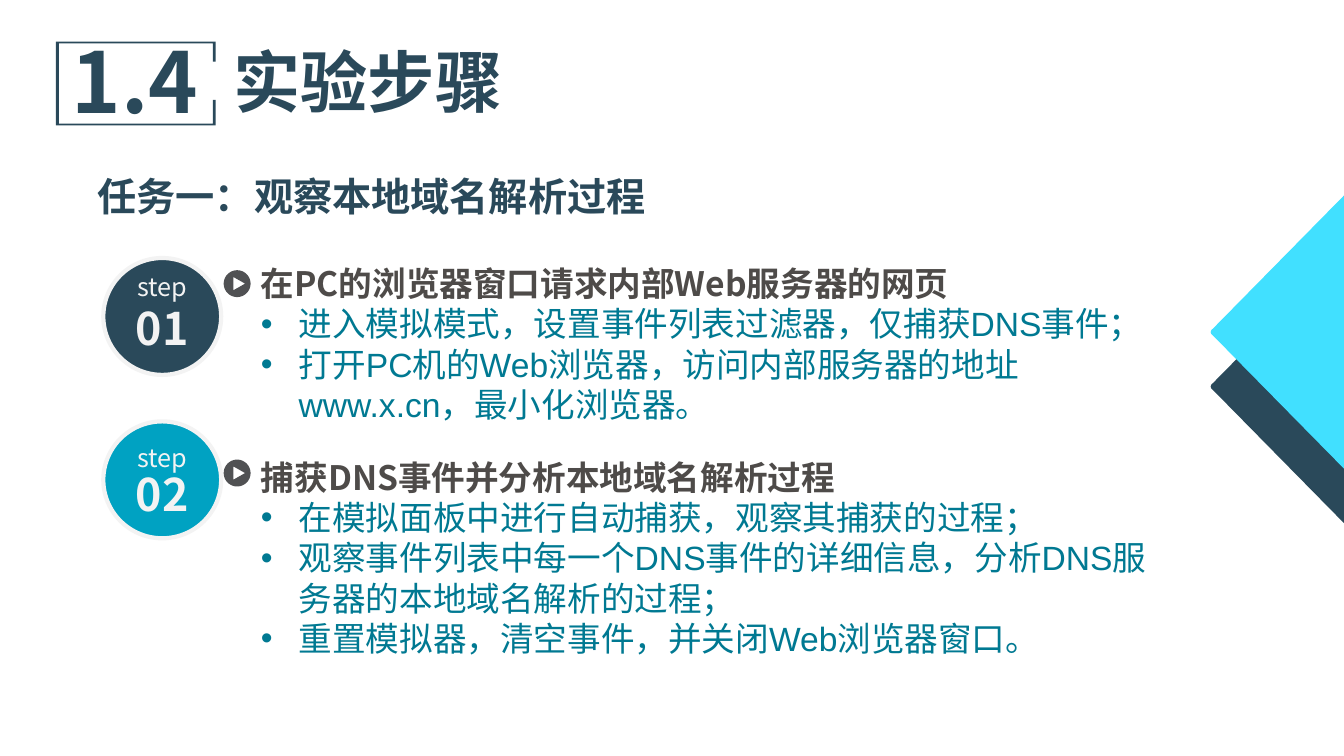
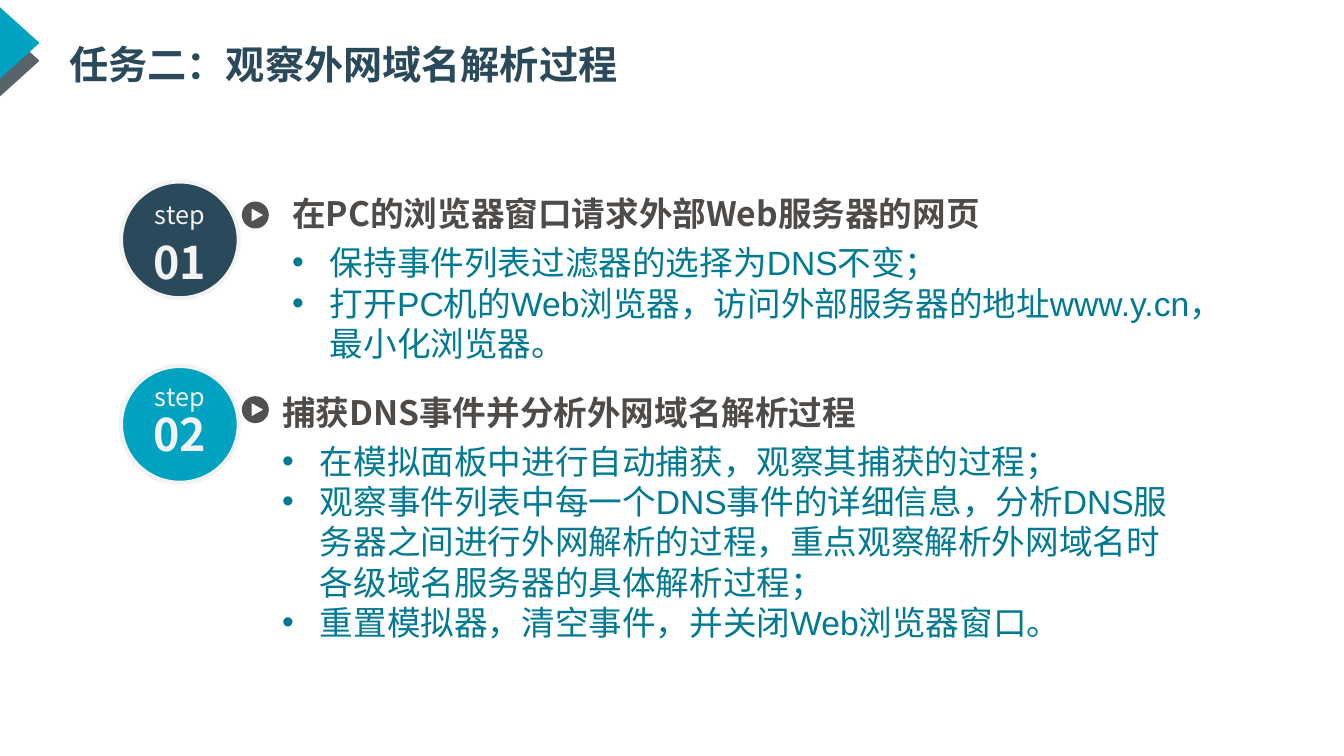
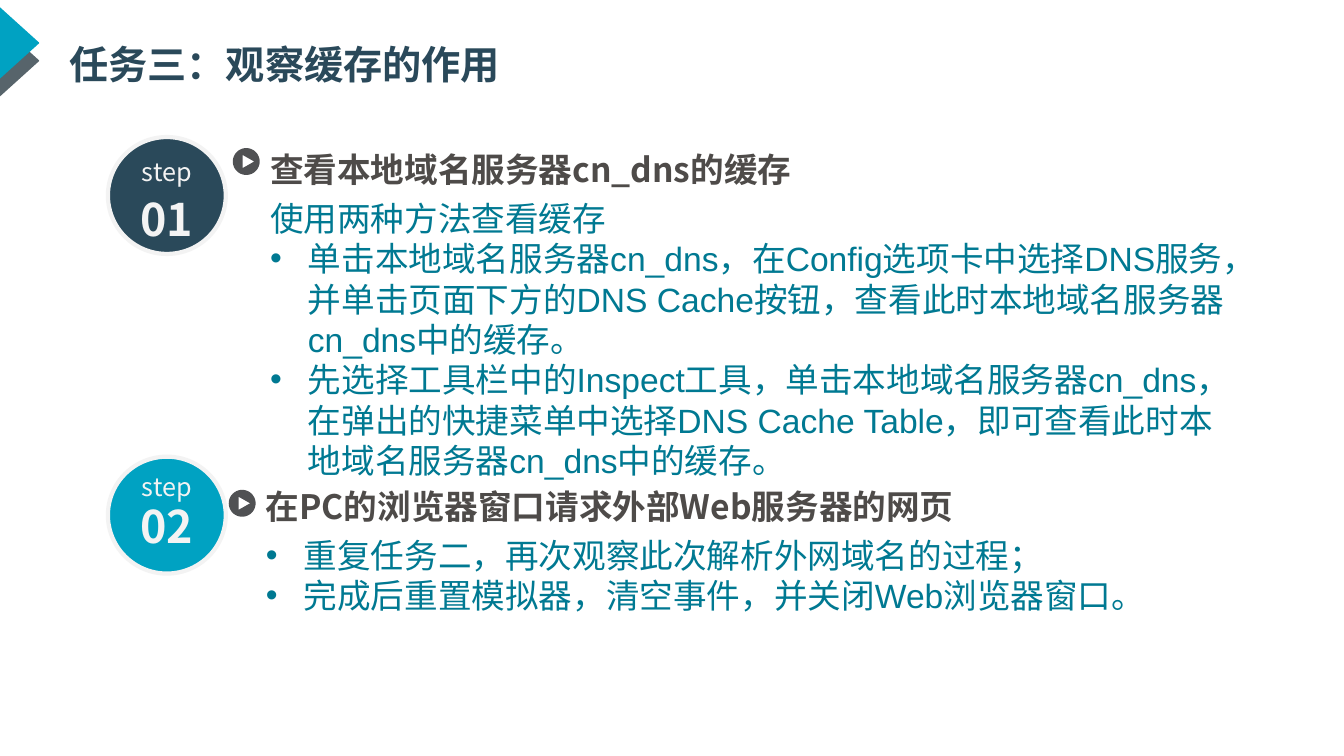
import dataclasses
import math

import lxml.etree
import pptx
import pptx.dml.color
import pptx.enum.shapes
import pptx.enum.text
import pptx.oxml.ns
import pptx.util

Pt = pptx.util.Pt
qn = pptx.oxml.ns.qn
Align = pptx.enum.text.PP_ALIGN


@dataclasses.dataclass(frozen=True)
class Theme:
    navy: str = "2A495A"
    teal: str = "00A2C2"
    cyan: str = "41E0FF"
    slate: str = "57646B"
    icon: str = "505153"
    pale: str = "F3F3F3"
    heading: str = "4E4B49"
    body: str = "007992"
    cjk_font: str = "Noto Sans CJK SC"
    latin_font: str = "Arial"
    section_number_size: int = 60
    section_size: int = 48
    badge_size: int = 32
    task_size: int = 28
    body_size: int = 24
    step_size: int = 18


THEME = Theme()


def rgb(color):
    return pptx.dml.color.RGBColor.from_string(color)


def write(paragraph, text, *, size, color, font=THEME.cjk_font, bold=False,
          align=None, bullet=False, after=0):
    """Fill a paragraph with one formatted run."""
    if bullet:
        properties = paragraph._p.get_or_add_pPr()
        properties.set("marL", str(Pt(27)))
        properties.set("indent", str(-Pt(27)))
        lxml.etree.SubElement(properties, qn("a:buFont"), typeface=THEME.latin_font)
        lxml.etree.SubElement(properties, qn("a:buChar"), char="•")
    paragraph.alignment = align
    paragraph.space_after = Pt(after)
    run = paragraph.add_run()
    run.text = text
    run.font.size = Pt(size)
    run.font.bold = bold
    run.font.color.rgb = rgb(color)
    run.font.name = font
    lxml.etree.SubElement(run._r.get_or_add_rPr(), qn("a:ea"), typeface=THEME.cjk_font)


class Deck:
    def __init__(self, theme):
        self.theme = theme
        self.presentation = pptx.Presentation()
        self.presentation.slide_width = Pt(960)
        self.presentation.slide_height = Pt(540)
        self.slide = None

    def new_slide(self):
        self.slide = self.presentation.slides.add_slide(
            self.presentation.slide_layouts[6])

    def frame(self, x, y, width, height, wrap=True):
        """Add a text box and return its text frame."""
        frame = self.slide.shapes.add_textbox(
            Pt(x), Pt(y), Pt(width), Pt(height)).text_frame
        frame.word_wrap = wrap
        frame.auto_size = pptx.enum.text.MSO_AUTO_SIZE.SHAPE_TO_FIT_TEXT
        return frame

    def label(self, text, x, y, width, height, wrap=True, **style):
        write(self.frame(x, y, width, height, wrap).paragraphs[0], text, **style)

    def outline(self, contours, color):
        """Draw closed polygons as one filled shape; inner ones are holes."""
        scaled = [[(Pt(x), Pt(y)) for x, y in contour] for contour in contours]
        builder = self.slide.shapes.build_freeform(*scaled[0][0])
        for index, contour in enumerate(scaled):
            if index:
                builder.move_to(*contour[0])
            builder.add_line_segments(contour[1:], close=True)
        shape = builder.convert_to_shape()
        shape.shadow.inherit = False
        shape.fill.solid()
        shape.fill.fore_color.rgb = rgb(color)
        shape.line.fill.background()

    def wedge(self, edge, top, depth, height, color):
        """Draw a blunt-tipped triangle that grows from a slide edge."""
        upper = [(0, 0), (0.98, 0.486), (0.995, 0.493), (1, 0.5)]
        lower = [(along, 1 - down) for along, down in reversed(upper[:-1])]
        self.outline([[(edge + depth * along, top + height * down)
                       for along, down in upper + lower]], color)

    def play_icon(self, x, y):
        radius = 9.6
        cx, cy = x + radius, y + radius
        turns = [math.tau * step / 48 for step in range(48)]
        disc = [(cx + radius * math.cos(turn), cy + radius * math.sin(turn))
                for turn in turns]
        triangle = [(cx + 5.7, cy), (cx - 2.6, cy - 4.7), (cx - 2.6, cy + 4.7)]
        self.outline([disc, triangle], self.theme.icon)

    def badge(self, number, color, center, top, step_top, number_top):
        disc = self.slide.shapes.add_shape(
            pptx.enum.shapes.MSO_SHAPE.OVAL,
            Pt(center - 42.1), Pt(top), Pt(84.2), Pt(83.5))
        disc.shadow.inherit = False
        disc.fill.solid()
        disc.fill.fore_color.rgb = rgb(color)
        disc.line.color.rgb = rgb(self.theme.pale)
        disc.line.width = Pt(3)
        self.label("step", center - 25.5, step_top, 51, 30, wrap=False,
                   size=self.theme.step_size, color=self.theme.pale,
                   align=Align.CENTER)
        self.label(number, center - 30, number_top, 60, 48, bold=True,
                   size=self.theme.badge_size, color=self.theme.pale,
                   align=Align.CENTER)

    def instructions(self, lines, box, after):
        """Write a heading, then bullets; a (text,) tuple is a plain line."""
        frame = self.frame(*box)
        heading, *details = lines
        write(frame.paragraphs[0], heading, size=self.theme.body_size,
              color=self.theme.heading, bold=True, after=after)
        for detail in details:
            plain = isinstance(detail, tuple)
            write(frame.add_paragraph(), detail[0] if plain else detail,
                  size=self.theme.body_size, color=self.theme.body,
                  font=self.theme.latin_font, bullet=not plain)

    def steps(self, center, steps, heading_after=6):
        colors = (self.theme.navy, self.theme.teal)
        for index, (color, step) in enumerate(zip(colors, steps), 1):
            self.badge(f"{index:02}", color, center, *step["badge"])
            self.play_icon(*step["icon"])
            self.instructions(step["lines"], step["box"], heading_after)

    def task_title(self, text, x, y):
        self.label(text, x, y, 850, 43, size=self.theme.task_size, bold=True,
                   color=self.theme.navy, font=self.theme.latin_font)

    def section_title(self, number, text):
        bracket = [(39.9, 29.8), (154, 29.8), (154, 44), (152, 44), (152, 31),
                   (42, 31), (42, 88.4), (152, 88.4), (152, 71.3),
                   (154, 71.3), (154, 89.6), (39.9, 89.6)]
        self.outline([bracket], self.theme.navy)
        style = dict(color=self.theme.navy, bold=True)
        self.label(number, -23.8, 17.3, 240.5, 84, align=Align.CENTER,
                   size=self.theme.section_number_size, **style)
        self.label(text, 159.8, 25.2, 260.6, 69,
                   size=self.theme.section_size, **style)

    def side_wedges(self):
        self.wedge(960, 178.6, -95.2, 195, self.theme.navy)
        self.wedge(960, 139.7, -95.2, 195, self.theme.cyan)

    def task_header(self, text):
        self.wedge(0, 17.9, 28, 51, self.theme.slate)
        self.wedge(0, 5.2, 28, 51, self.theme.teal)
        self.task_title(text, 42.5, 25.2)


LOCAL_STEPS = [
    dict(badge=(184.3, 190.1, 211), icon=(159.8, 193),
         box=(179.3, 184.3, 655.2, 123.8),
         lines=["在PC的浏览器窗口请求内部Web服务器的网页",
                "进入模拟模式，设置事件列表过滤器，仅捕获DNS事件；",
                "打开PC机的Web浏览器，访问内部服务器的地址www.x.cn，最小化浏览器。"]),
    dict(badge=(301, 312.5, 329.8), icon=(159.8, 328.3),
         box=(179.3, 322.6, 655.2, 152.6),
         lines=["捕获DNS事件并分析本地域名解析过程",
                "在模拟面板中进行自动捕获，观察其捕获的过程；",
                "观察事件列表中每一个DNS事件的详细信息，分析DNS服务器的本地域名解析的过程；",
                "重置模拟器，清空事件，并关闭Web浏览器窗口。"]),
]

EXTERNAL_STEPS = [
    dict(badge=(129.6, 139, 164.2), icon=(172.8, 144),
         box=(201.6, 134.6, 685.4, 129.6),
         lines=["在PC的浏览器窗口请求外部Web服务器的网页",
                "保持事件列表过滤器的选择为DNS不变；",
                "打开PC机的Web浏览器，访问外部服务器的地址www.y.cn，最小化浏览器。"]),
    dict(badge=(261.4, 268.6, 287.3), icon=(172.8, 283),
         box=(194.4, 276.5, 646.6, 188),
         lines=["捕获DNS事件并分析外网域名解析过程",
                "在模拟面板中进行自动捕获，观察其捕获的过程；",
                "观察事件列表中每一个DNS事件的详细信息，分析DNS服务器之间进行外网解析的过程，"
                "重点观察解析外网域名时各级域名服务器的具体解析过程；",
                "重置模拟器，清空事件，并关闭Web浏览器窗口。"]),
]

CACHE_STEPS = [
    dict(badge=(97.9, 108, 133.2), icon=(166.3, 105.8),
         box=(185.8, 103, 707.8, 246.2),
         lines=["查看本地域名服务器cn_dns的缓存",
                ("使用两种方法查看缓存",),
                "单击本地域名服务器cn_dns，在Config选项卡中选择DNS服务，"
                "并单击页面下方的DNS Cache按钮，查看此时本地域名服务器cn_dns中的缓存。",
                "先选择工具栏中的Inspect工具，单击本地域名服务器cn_dns，"
                "在弹出的快捷菜单中选择DNS Cache Table，即可查看此时本地域名服务器cn_dns中的缓存。"]),
    dict(badge=(326.2, 333.4, 352.8), icon=(163.4, 349.9),
         box=(182.9, 343.4, 645.1, 100.8),
         lines=["在PC的浏览器窗口请求外部Web服务器的网页",
                "重复任务二，再次观察此次解析外网域名的过程；",
                "完成后重置模拟器，清空事件，并关闭Web浏览器窗口。"]),
]


def main():
    deck = Deck(THEME)

    deck.new_slide()
    deck.side_wedges()
    deck.section_title("1.4", "实验步骤")
    deck.task_title("任务一：观察本地域名解析过程", 62.6, 119.5)
    deck.steps(115.9, LOCAL_STEPS, heading_after=0)

    deck.new_slide()
    deck.task_header("任务二：观察外网域名解析过程")
    deck.steps(128.5, EXTERNAL_STEPS)

    deck.new_slide()
    deck.task_header("任务三：观察缓存的作用")
    deck.steps(119.2, CACHE_STEPS)

    deck.presentation.save("out.pptx")


if __name__ == "__main__":
    main()
